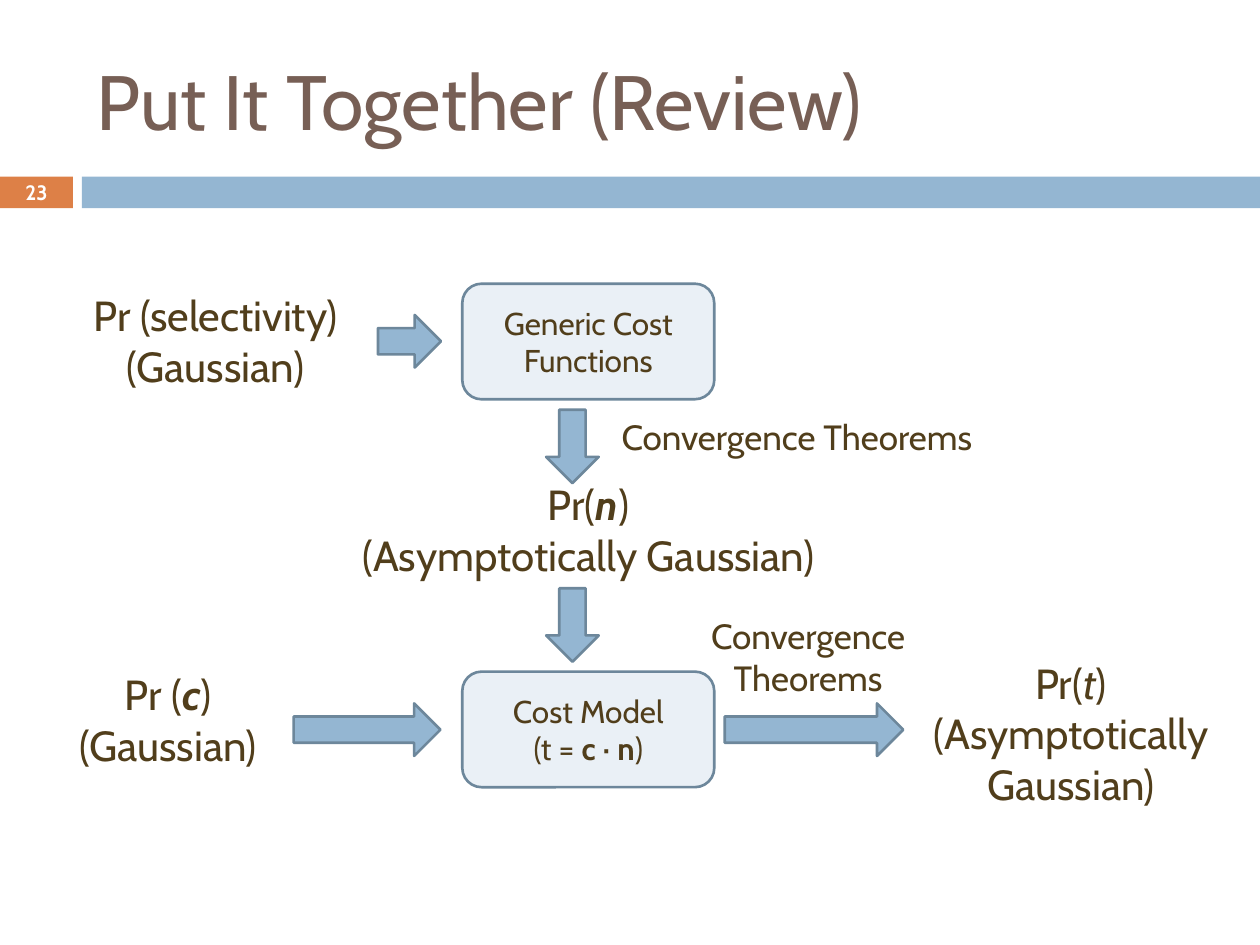
from pptx import Presentation
from pptx import util as u
from pptx.dml.color import RGBColor
from pptx.enum import shapes, text

FONT = "Cabin"
COLORS = {
    "title": "775F55", "body": "513E1B", "white": "FFFFFF",
    "orange": "DD8047", "blue": "94B6D2", "pale": "EAF0F6", "edge": "6D879B",
}
SHAPE = shapes.MSO_SHAPE

# Positions are (left, top, width, height) in centimetres.
BAR_TOP, BAR_HEIGHT = 3.56, 0.64
BARS = [("orange", 0, 1.47), ("blue", 1.65, 23.75)]  # colour, left, width

TITLE = ("Put It Together (Review)", (1.7, 0.64, 22.66, 2.74))
PAGE_NUMBER = ("23", (0, 3.53, 1.47, 0.69))

# A paragraph is a string or a list of (words, style); style holds b and/or i.
STEP_LEFT, STEP_WIDTH, STEP_HEIGHT = 9.32, 5.08, 2.33
STEPS = [  # top, paragraphs
    (5.72, ["Generic Cost Functions"]),
    (13.54, ["Cost Model",
             [("(t = ", ""), ("c", "b"), (" · ", ""), ("n", "b"), (")", "")]]),
]

ARROW_HEIGHT = 1.06
ARROWS = [  # left, top, length, rotation
    (7.62, 6.35, 1.27, 0),
    (10.8, 8.47, 1.48, 90),
    (10.8, 12.07, 1.48, 90),
    (5.92, 14.18, 2.96, 0),
    (14.61, 14.18, 3.6, 0),
]

LABELS = [  # position, size, alignment, paragraphs
    ((1.07, 5.72, 6.55, 2.31), 24, "CENTER", ["Pr (selectivity)", "(Gaussian)"]),
    ((6.78, 9.53, 10.16, 2.31), 24, "CENTER",
     [[("Pr(", ""), ("n", "bi"), (")", "")], "(Asymptotically Gaussian)"]),
    ((12.28, 8.26, 9.74, 1.12), 20, "LEFT", ["Convergence Theorems"]),
    ((0.64, 13.36, 5.5, 2.31), 24, "CENTER",
     [[("Pr (", ""), ("c", "bi"), (")", "")], "(Gaussian)"]),
    ((13.54, 12.27, 5.5, 1.96), 20, "CENTER", ["Convergence Theorems"]),
    ((18.2, 13.13, 6.78, 3.33), 24, "CENTER",
     [[("Pr(", ""), ("t", "i"), (")", "")], "(Asymptotically", "Gaussian)"]),
]


def rgb(name):
    return RGBColor.from_string(COLORS[name])


def write(box, paragraphs, size=18, color="body", align="CENTER",
          anchor="TOP", bold=False):
    frame = box.text_frame
    frame.word_wrap = True
    frame.vertical_anchor = getattr(text.MSO_ANCHOR, anchor)
    for index, content in enumerate(paragraphs):
        para = frame.add_paragraph() if index else frame.paragraphs[0]
        para.alignment = getattr(text.PP_ALIGN, align)
        spans = [(content, "")] if isinstance(content, str) else content
        for words, style in spans:
            span = para.add_run()
            span.text = words
            span.font.name = FONT
            span.font.size = u.Pt(size)
            span.font.color.rgb = rgb(color)
            span.font.bold = bold or "b" in style
            span.font.italic = "i" in style


def add_text(page, place, paragraphs, **style):
    box = page.shapes.add_textbox(*map(u.Cm, place))
    write(box, paragraphs, **style)


def add_block(page, kind, place, fill, outlined=True):
    block = page.shapes.add_shape(kind, *map(u.Cm, place))
    block.shadow.inherit = False
    block.fill.solid()
    block.fill.fore_color.rgb = rgb(fill)
    if outlined:
        block.line.color.rgb = rgb("edge")
        block.line.width = u.Pt(1.5)
    else:
        block.line.fill.background()
    return block


def main():
    deck = Presentation()
    deck.slide_width, deck.slide_height = u.Cm(25.4), u.Cm(19.05)
    page = deck.slides.add_slide(deck.slide_layouts[6])

    for fill, left, width in BARS:
        add_block(page, SHAPE.RECTANGLE, (left, BAR_TOP, width, BAR_HEIGHT),
                  fill, outlined=False)
    title, place = TITLE
    add_text(page, place, [title], size=44, color="title", align="LEFT",
             anchor="MIDDLE")
    number, place = PAGE_NUMBER
    add_text(page, place, [number], size=11.9, color="white",
             anchor="MIDDLE", bold=True)

    for top, paragraphs in STEPS:
        step = add_block(page, SHAPE.ROUNDED_RECTANGLE,
                         (STEP_LEFT, top, STEP_WIDTH, STEP_HEIGHT), "pale")
        write(step, paragraphs, anchor="MIDDLE")
    for left, top, length, rotation in ARROWS:
        arrow = add_block(page, SHAPE.RIGHT_ARROW,
                          (left, top, length, ARROW_HEIGHT), "blue")
        arrow.rotation = rotation
    for place, size, align, paragraphs in LABELS:
        add_text(page, place, paragraphs, size=size, align=align)

    deck.save("out.pptx")


if __name__ == "__main__":
    main()
